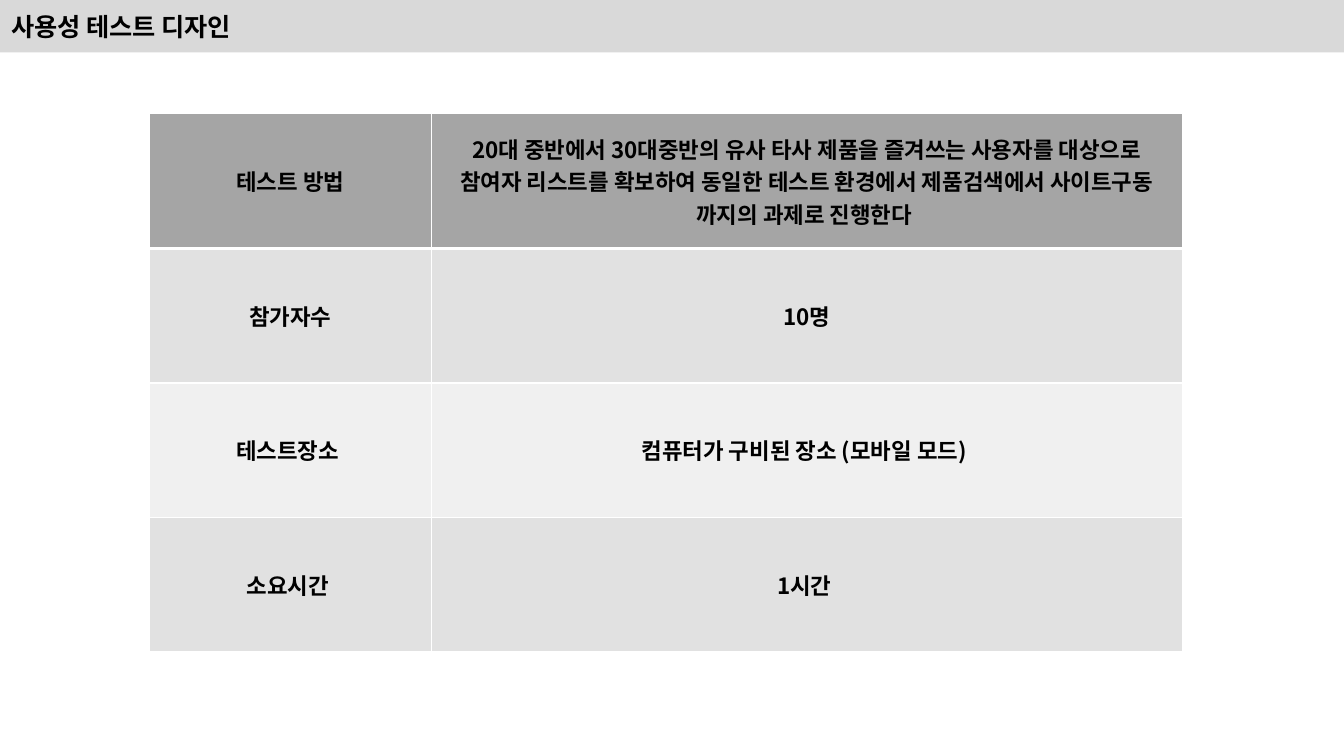
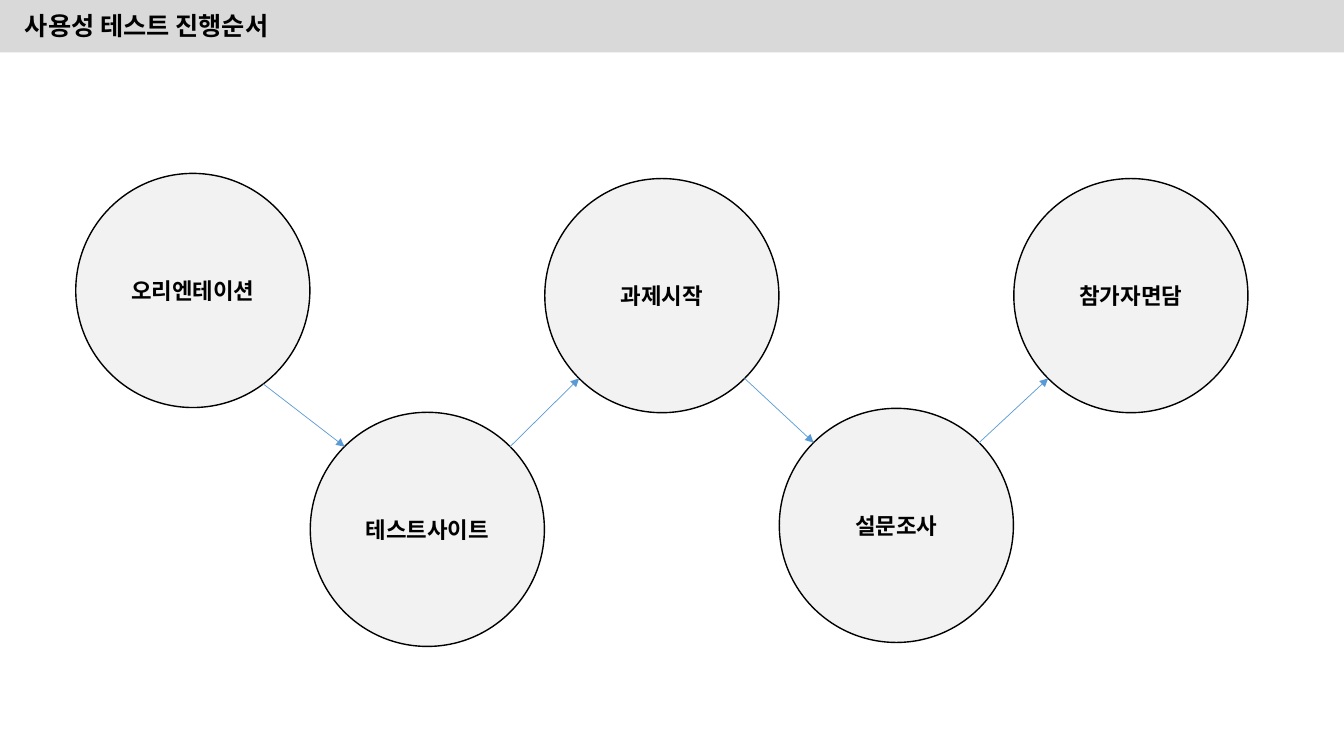
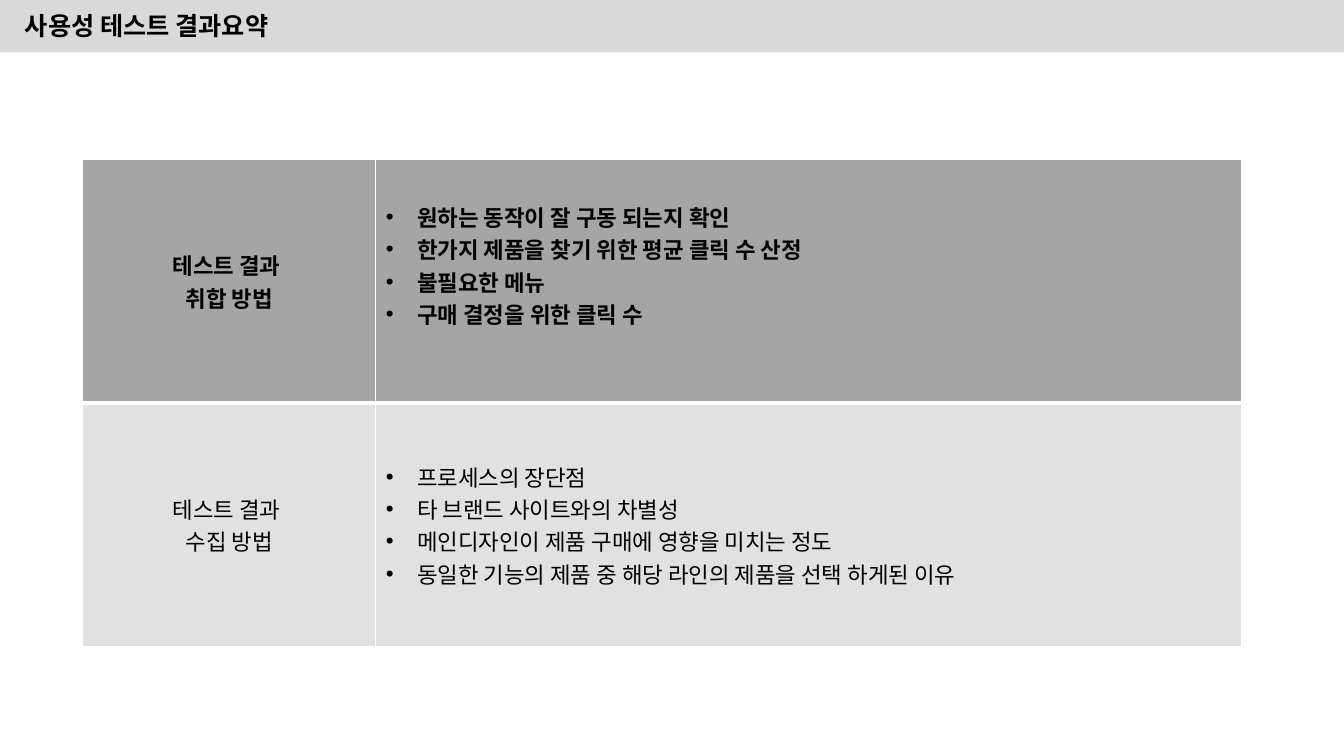
from math import cos, radians, sin

from lxml import etree
from pptx import Presentation
from pptx.dml.color import RGBColor
from pptx.enum import shapes, text
from pptx.oxml import ns
from pptx.util import Cm, Pt

FONT = "Noto Sans CJK KR"
BLACK, WHITE, BAND, HEAD = "000000", "FFFFFF", "D9D9D9", "A5A5A5"
ROW_DARK, ROW_LIGHT, CIRCLE, ARROW = "E1E1E1", "F0F0F0", "F2F2F2", "5B9BD5"

prs = Presentation()
prs.slide_width, prs.slide_height = Cm(33.87), Cm(19.05)


def color(hex_code):
    return RGBColor.from_string(hex_code)


def write(tf, lines, size=16, bold=True, align=text.PP_ALIGN.CENTER):
    """Fill a text frame with one paragraph per line, in the deck's font."""
    for i, line in enumerate(lines):
        p = tf.paragraphs[0] if i == 0 else tf.add_paragraph()
        p.add_run().text = line
        p.alignment = align
        p.font.size, p.font.bold, p.font.name = Pt(size), bold, FONT
        p.font.color.rgb = color(BLACK)
        defaults = p._p.pPr.find(ns.qn("a:defRPr"))
        etree.SubElement(defaults, ns.qn("a:ea"), typeface=FONT)


# Title band of every slide
slides = []
for title, left, top in [
    ("사용성 테스트 디자인", 0.03, 0.15),
    ("사용성 테스트 진행순서", 0.38, 0.13),
    ("사용성 테스트 결과요약", 0.38, 0.13),
]:
    s = prs.slides.add_slide(prs.slide_layouts[6])
    band = s.shapes.add_shape(shapes.MSO_SHAPE.RECTANGLE, 0, 0, prs.slide_width, Cm(1.32))
    band.shadow.inherit = False
    band.fill.solid()
    band.fill.fore_color.rgb = color(BAND)
    band.line.fill.background()
    tf = s.shapes.add_textbox(Cm(left), Cm(top), Cm(7.44), Cm(1.02)).text_frame
    tf.word_wrap = True
    write(tf, [title], size=18, align=text.PP_ALIGN.LEFT)
    slides.append(s)
design, process, summary = slides

# Tables: each cell is a list of lines
design_rows = [
    (["테스트 방법"],
     ["20대 중반에서 30대중반의 유사 타사 제품을 즐겨쓰는 사용자를 대상으로 참여자 리스트를 "
      "확보하여 동일한 테스트 환경에서 제품검색에서 사이트구동 까지의 과제로 진행한다 "]),
    (["참가자수"], ["10명"]),
    (["테스트장소 "], ["컴퓨터가 구비된 장소 (모바일 모드) "]),
    (["소요시간 "], ["1시간 "]),
]
summary_rows = [
    (["테스트 결과 ", "취합 방법"],
     ["원하는 동작이 잘 구동 되는지 확인", "한가지 제품을 찾기 위한 평균 클릭 수 산정",
      "불필요한 메뉴", "구매 결정을 위한 클릭 수"]),
    (["테스트 결과 ", "수집 방법"],
     ["프로세스의 장단점", "타 브랜드 사이트와의 차별성",
      "메인디자인이 제품 구매에 영향을 미치는 정도",
      "동일한 기능의 제품 중 해당 라인의 제품을 선택 하게된 이유"]),
]
for s, rows, left, top, widths, height, bold_body in [
    (design, design_rows, 3.76, 2.87, (7.11, 18.92), 3.39, True),
    (summary, summary_rows, 2.08, 4.02, (7.39, 21.82), 6.14, False),
]:
    table = s.shapes.add_table(len(rows), 2, Cm(left), Cm(top), Cm(sum(widths)),
                               Cm(height * len(rows))).table
    for column, width in zip(table.columns, widths):
        column.width = Cm(width)
    for i, row in enumerate(rows):
        table.rows[i].height = Cm(height)
        for j, lines in enumerate(row):
            cell = table.cell(i, j)
            cell.vertical_anchor = text.MSO_ANCHOR.MIDDLE
            for side in "LRTB":
                thick = (i, side) in ((0, "B"), (1, "T"))
                ln = etree.SubElement(cell._tc.get_or_add_tcPr(), ns.qn(f"a:ln{side}"),
                                      w=str(Pt(3 if thick else 1)))
                fill = etree.SubElement(ln, ns.qn("a:solidFill"))
                etree.SubElement(fill, ns.qn("a:srgbClr"), val=WHITE)
            cell.fill.solid()
            cell.fill.fore_color.rgb = color(HEAD if i == 0 else ROW_DARK if i % 2 else ROW_LIGHT)
            bulleted = len(lines) > 2
            write(cell.text_frame, lines, bold=i == 0 or bold_body,
                  align=text.PP_ALIGN.LEFT if bulleted else text.PP_ALIGN.CENTER)
            if bulleted:
                for p in cell.text_frame.paragraphs:
                    pPr = p._p.pPr
                    pPr.set("marL", str(Cm(0.79)))
                    pPr.set("indent", str(-Cm(0.79)))
                    pPr.insert(0, etree.Element(ns.qn("a:buFont"), typeface="Arial"))
                    pPr.insert(1, etree.Element(ns.qn("a:buChar"), char="•"))
                if i == 0:
                    cell.margin_bottom = Cm(0.94)

# Test steps: circles side by side, alternately high and low
DIAMETER, STEP, FIRST_LEFT = 5.9, 5.91, 1.91
steps = [("오리엔테이션", 4.37), ("테스트사이트", 10.39), ("과제시작", 4.5),
         ("설문조사", 10.29), ("참가자면담", 4.5)]
centers = []
for i, (label, top) in enumerate(steps):
    left = FIRST_LEFT + i * STEP
    centers.append((left + DIAMETER / 2, top + DIAMETER / 2))
    circle = process.shapes.add_shape(shapes.MSO_SHAPE.OVAL, Cm(left), Cm(top),
                                      Cm(DIAMETER), Cm(DIAMETER))
    circle.shadow.inherit = False
    circle.fill.solid()
    circle.fill.fore_color.rgb = color(CIRCLE)
    circle.line.color.rgb = color(BLACK)
    circle.line.width = Pt(1)
    circle.text_frame.vertical_anchor = text.MSO_ANCHOR.MIDDLE
    write(circle.text_frame, [label])

# Arrows leave and reach the circles at these angles below or above the horizontal
for i, leave_angle in enumerate([53, 45, 45, 45]):
    (x1, y1), (x2, y2) = centers[i:i + 2]
    down = 1 if y2 > y1 else -1
    radius, leave, reach = DIAMETER / 2, radians(leave_angle), radians(45)
    arrow = process.shapes.add_connector(
        shapes.MSO_CONNECTOR.STRAIGHT,
        Cm(x1 + radius * cos(leave)), Cm(y1 + down * radius * sin(leave)),
        Cm(x2 - radius * cos(reach)), Cm(y2 - down * radius * sin(reach)))
    arrow.line.color.rgb = color(ARROW)
    arrow.line.width = Pt(0.5)
    etree.SubElement(arrow.line._get_or_add_ln(), ns.qn("a:tailEnd"), type="triangle")
    etree.SubElement(arrow._element.spPr, ns.qn("a:effectLst"))

prs.save("out.pptx")
